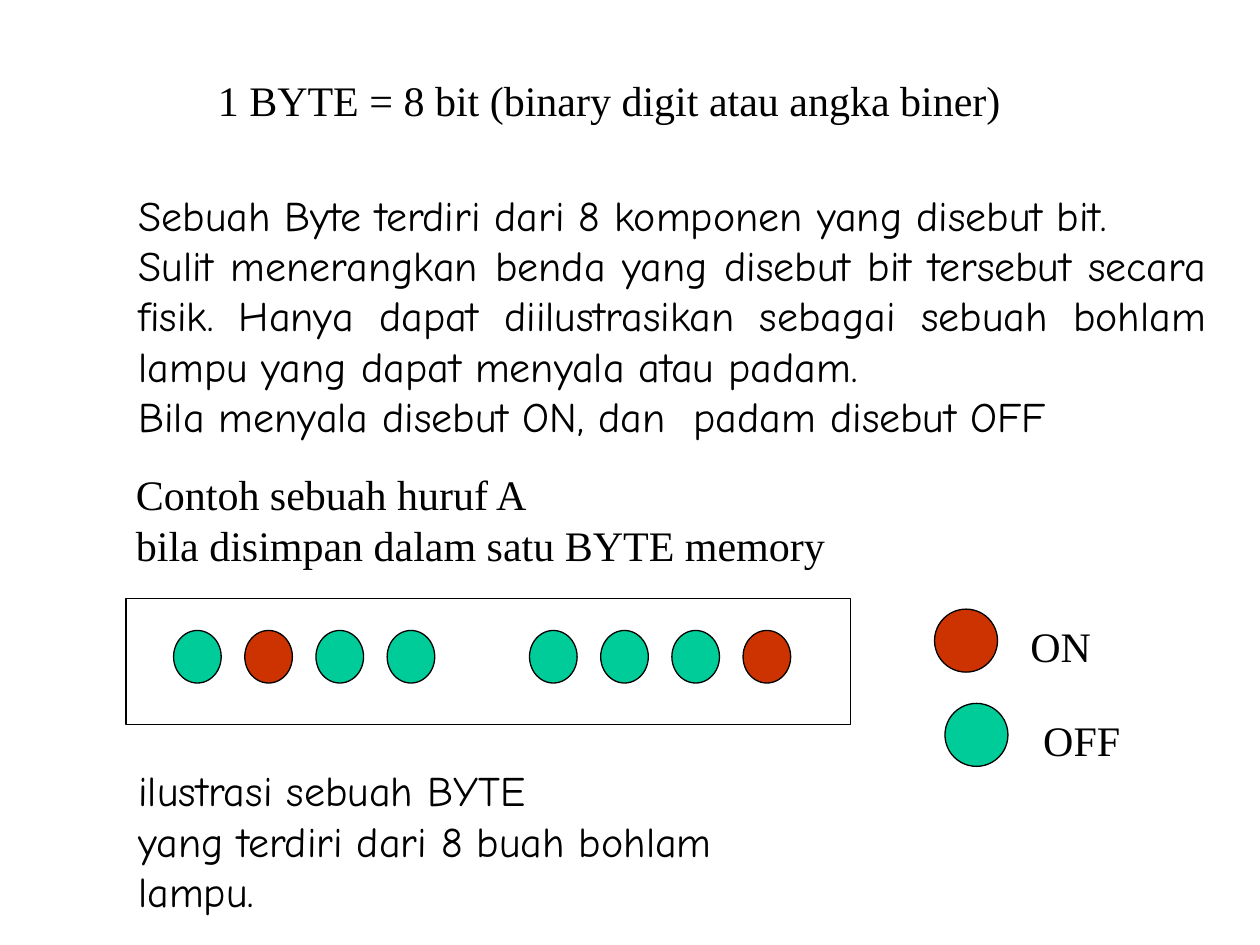
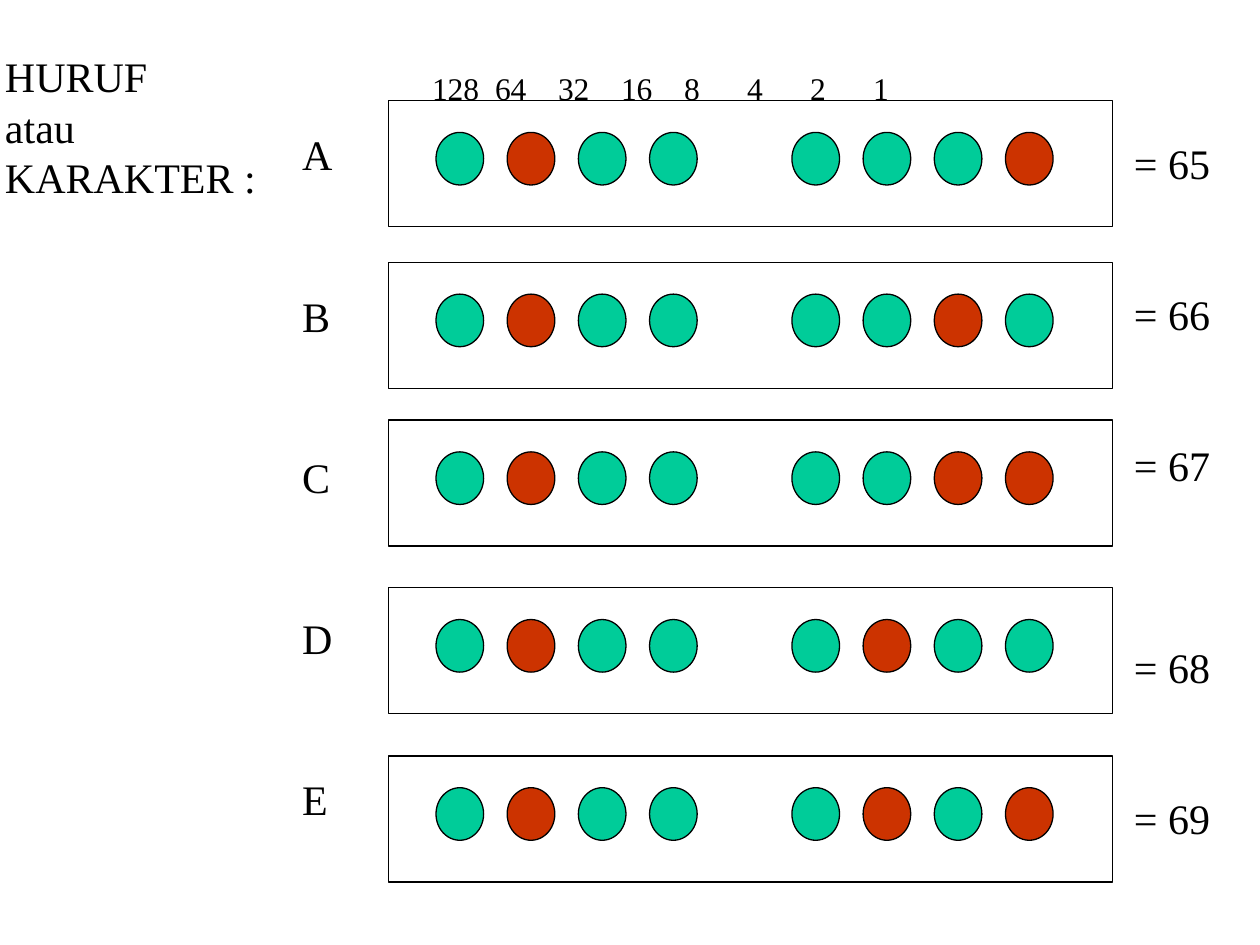
"""Builds two slides that show how letters are stored as the bits of a byte."""
from dataclasses import dataclass
from typing import Any, Sequence

import pptx
import pptx.dml.color
import pptx.enum.shapes
import pptx.enum.text
import pptx.oxml
import pptx.oxml.ns
import pptx.util

Cm = pptx.util.Cm
Pt = pptx.util.Pt
SHAPE = pptx.enum.shapes.MSO_SHAPE
ALIGN = pptx.enum.text.PP_ALIGN

COLORS = {"ink": "000000", "on": "CC3300", "off": "00CC99"}
SERIF = "Times New Roman"
COMIC = "Comic Neue"
LINE = 1.2
BYTE_SIZE = (14.6, 2.54)
BULB_SIZE = (0.96, 1.06)
BULB_INSET = (0.96, 0.64)
BULB_STEP = 1.435


@dataclass(frozen=True)
class Box:
    left: float
    top: float
    width: float
    height: float

    def emus(self) -> tuple[int, ...]:
        return tuple(Cm(v) for v in (self.left, self.top, self.width, self.height))


@dataclass(frozen=True)
class ByteRow:
    letter: str
    left: float
    top: float


@dataclass(frozen=True)
class LegendItem:
    state: str
    bulb: Box
    label: Box


BYTE_A = ByteRow("A", 2.54, 12.07)
LEGEND = (
    LegendItem("on", Box(18.84, 12.28, 1.27, 1.27), Box(20.52, 12.37, 2.2, 1.27)),
    LegendItem("off", Box(19.05, 14.18, 1.27, 1.27), Box(20.78, 14.27, 2.5, 1.27)),
)
BYTE_ROWS = [
    ByteRow(letter, 7.83, top)
    for letter, top in zip("ABCDE", (2.03, 5.29, 8.47, 11.85, 15.24))
]
WEIGHT_TABS = (2.07, 3.5, 4.94, 7.78, 9.22, 10.64, 12.24)


def rgb(name: str) -> pptx.dml.color.RGBColor:
    return pptx.dml.color.RGBColor.from_string(COLORS[name])


def add_tabs(p: Any, stops: Sequence[float]) -> None:
    tabs = pptx.oxml.parse_xml(f'<a:tabLst {pptx.oxml.ns.nsdecls("a")}/>')
    for stop in stops:
        tab = tabs.makeelement(pptx.oxml.ns.qn("a:tab"), {"pos": str(Cm(stop)), "algn": "ctr"})
        tabs.append(tab)
    p._p.get_or_add_pPr().append(tabs)


def write(sp: Any, box: Box, text: str, *, font: str = SERIF, size: float = 24,
          align: Any = ALIGN.LEFT, line: float = LINE,
          gaps: Sequence[float] = (), tabs: Sequence[float] = ()) -> None:
    sp.left, sp.top, sp.width, sp.height = box.emus()
    tf = sp.text_frame
    tf.word_wrap = True
    tf.auto_size = pptx.enum.text.MSO_AUTO_SIZE.NONE
    tf.vertical_anchor = pptx.enum.text.MSO_ANCHOR.TOP
    tf.margin_left = tf.margin_right = Cm(0.25)
    tf.margin_top = tf.margin_bottom = Cm(0.13)
    for i, content in enumerate(text.split("\n")):
        p = tf.paragraphs[0] if i == 0 else tf.add_paragraph()
        pPr = p._p.get_or_add_pPr()
        pPr.set("marL", "0")
        pPr.set("indent", "0")
        pPr.append(pptx.oxml.parse_xml(f'<a:buNone {pptx.oxml.ns.nsdecls("a")}/>'))
        if tabs:
            add_tabs(p, tabs)
        p.alignment = align
        p.line_spacing = Pt(size * line)
        p.space_before = Pt(gaps[i - 1] if i and gaps else 0)
        p.space_after = Pt(0)
        r = p.add_run()
        r.text = content
        r.font.name = font
        r.font.size = Pt(size)
        r.font.bold = False
        r.font.color.rgb = rgb("ink")


def add_text(slide: Any, box: Box, text: str, **style: Any) -> None:
    write(slide.shapes.add_textbox(*box.emus()), box, text, **style)


def add_outlined(shapes: Any, kind: Any, box: Box, fill: str | None = None) -> None:
    sp = shapes.add_shape(kind, *box.emus())
    sp.shadow.inherit = False
    sp.line.color.rgb = rgb("ink")
    sp.line.width = Pt(0.75)
    if fill:
        sp.fill.solid()
        sp.fill.fore_color.rgb = rgb(fill)
    else:
        sp.fill.background()


def add_byte(slide: Any, row: ByteRow) -> None:
    shapes = slide.shapes.add_group_shape().shapes
    for i, bit in enumerate(format(ord(row.letter), "08b")):
        slot = i + i // 4
        bulb = Box(row.left + BULB_INSET[0] + slot * BULB_STEP, row.top + BULB_INSET[1], *BULB_SIZE)
        add_outlined(shapes, SHAPE.OVAL, bulb, "on" if bit == "1" else "off")
    add_outlined(shapes, SHAPE.RECTANGLE, Box(row.left, row.top, *BYTE_SIZE))


def build_byte_slide(prs: Any) -> None:
    slide = prs.slides.add_slide(prs.slide_layouts[1])
    write(slide.shapes.title, Box(4.14, 1.37, 17, 1.27),
          "1 BYTE = 8 bit (binary digit atau angka biner)")
    write(slide.placeholders[1], Box(2.54, 3.68, 22.02, 6.35),
          "Sebuah Byte terdiri dari 8 komponen yang disebut bit.\n"
          "Sulit menerangkan benda yang disebut bit tersebut secara fisik. Hanya dapat "
          "diilustrasikan sebagai sebuah bohlam lampu yang dapat menyala atau padam.\n"
          "Bila menyala disebut ON, dan  padam disebut OFF",
          font=COMIC, align=ALIGN.JUSTIFY)
    add_text(slide, Box(2.49, 9.32, 15.54, 2.29),
             "Contoh sebuah huruf A\nbila disimpan dalam satu BYTE memory")
    add_byte(slide, BYTE_A)
    for item in LEGEND:
        add_outlined(slide.shapes, SHAPE.OVAL, item.bulb, item.state)
        add_text(slide, item.label, item.state.upper())
    add_text(slide, Box(2.54, 15.29, 13.89, 3.3),
             "ilustrasi sebuah BYTE\nyang terdiri dari 8 buah bohlam lampu.", font=COMIC)


def build_letters_slide(prs: Any) -> None:
    slide = prs.slides.add_slide(prs.slide_layouts[5])
    write(slide.shapes.title, Box(-0.15, 0.89, 5.9, 3.3), "HURUF\natau\nKARAKTER :")
    for row in BYTE_ROWS:
        add_byte(slide, row)
    weights = "\t".join(str(2 ** i) for i in reversed(range(8)))
    add_text(slide, Box(8.46, 1.27, 13.4, 1.02), weights, size=18, tabs=WEIGHT_TABS)
    letters = "\n".join(row.letter for row in BYTE_ROWS)
    add_text(slide, Box(5.84, 2.67, 1.5, 14.07), letters, line=0.96, gaps=[69.12] * 4)
    sums = "\n".join(f"= {ord(row.letter)}" for row in BYTE_ROWS)
    add_text(slide, Box(22.61, 2.64, 2.4, 14.48), sums, gaps=(57.6, 57.6, 86.4, 57.6))


def main() -> None:
    prs = pptx.Presentation()
    prs.slide_width, prs.slide_height = Cm(25.4), Cm(19.05)
    build_byte_slide(prs)
    build_letters_slide(prs)
    prs.save("out.pptx")


if __name__ == "__main__":
    main()
